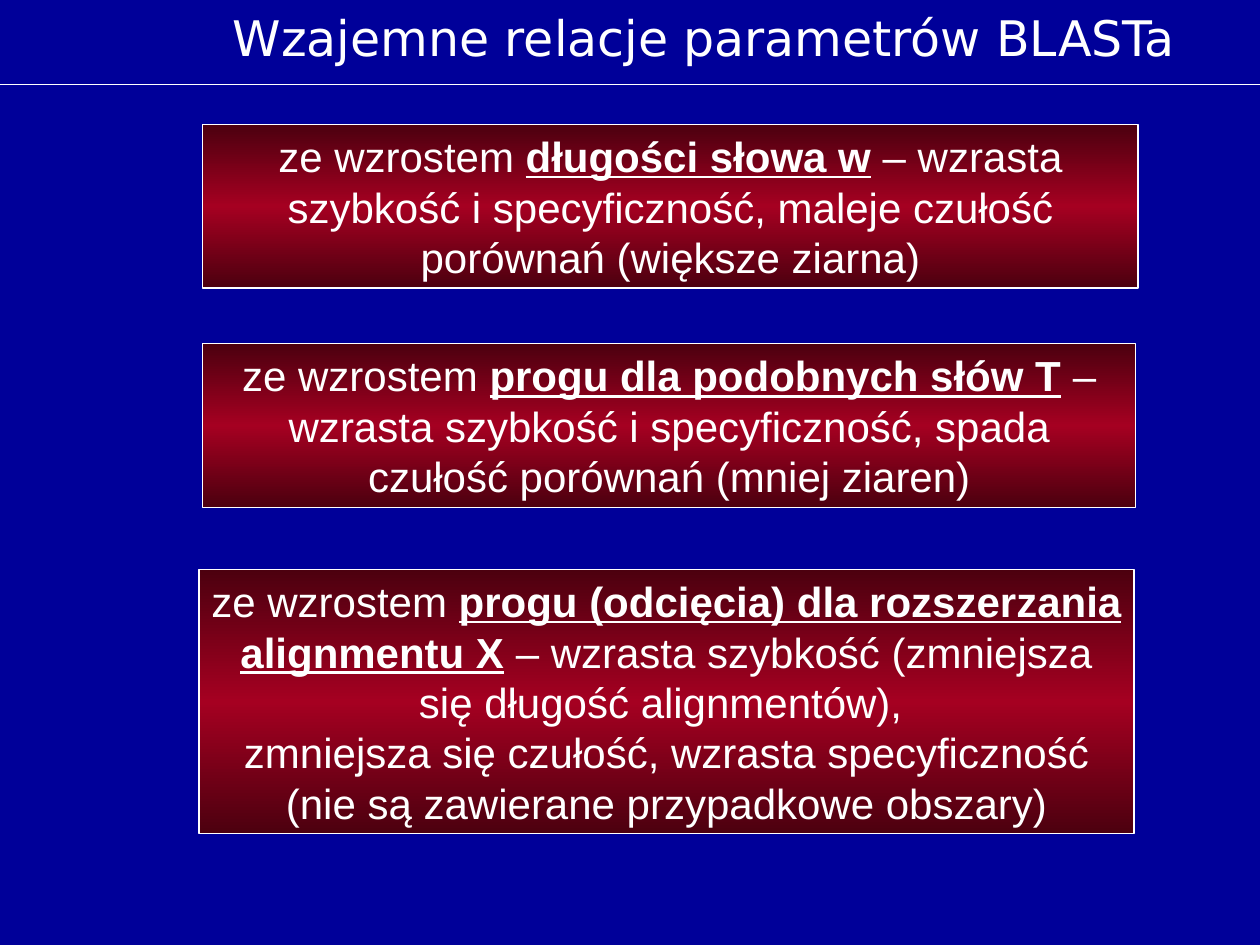
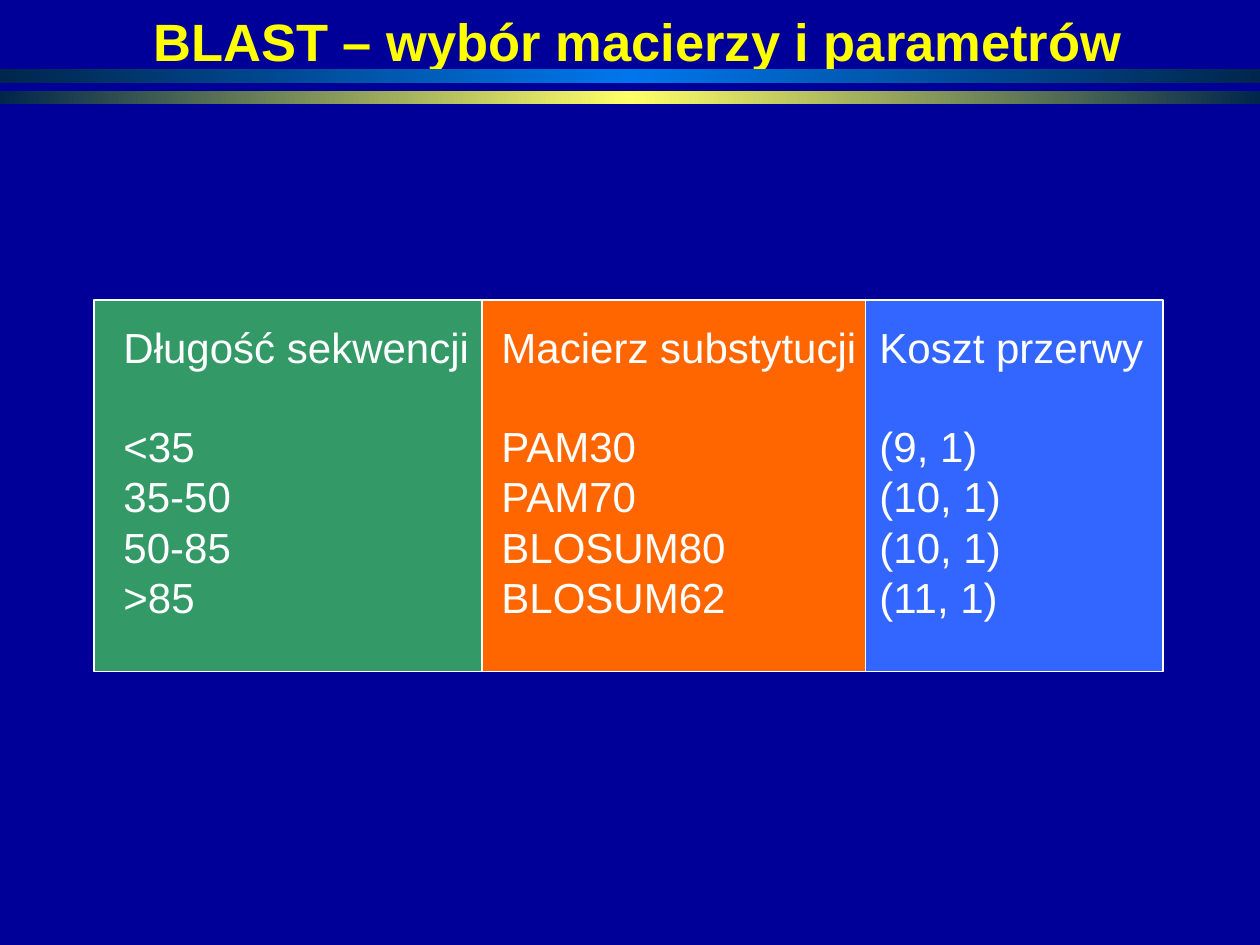
from copy import deepcopy

from lxml.etree import SubElement
from pptx import Presentation
from pptx.dml.color import RGBColor
from pptx.enum.shapes import MSO_CONNECTOR, MSO_SHAPE
from pptx.enum.text import MSO_ANCHOR, PP_ALIGN
from pptx.oxml.ns import qn
from pptx.util import Cm, Pt

COLORS = {
    name: RGBColor.from_string(value)
    for name, value in {
        "background": "000099",
        "white": "FFFFFF",
        "yellow": "FFFF00",
        "dark red": "4C000F",
        "red": "A50021",
        "dark blue": "00264C",
        "bright blue": "0076EC",
        "pale yellow": "FFFF66",
        "green": "339966",
        "orange": "FF6600",
        "blue": "3366FF",
    }.items()
}


def add_rectangle(slide, left, top, width, height, fill, line_width=0):
    """Add a rectangle; a pair of colours (edge, middle) gives a gradient."""
    shape = slide.shapes.add_shape(
        MSO_SHAPE.RECTANGLE, Cm(left), Cm(top), Cm(width), Cm(height))
    shape.shadow.inherit = False
    if isinstance(fill, tuple):
        edge, middle = fill
        shape.fill.gradient()
        shape.fill.gradient_angle = 0 if width > 20 else 90
        stops = shape.element.spPr.find(qn("a:gradFill")).find(qn("a:gsLst"))
        middle_stop = deepcopy(stops[0])
        middle_stop.set("pos", "50000")
        stops.insert(1, middle_stop)
        for stop, color in zip(shape.fill.gradient_stops, (edge, middle, edge)):
            stop.color.rgb = COLORS[color]
    else:
        shape.fill.solid()
        shape.fill.fore_color.rgb = COLORS[fill]
    if line_width:
        shape.line.color.rgb = COLORS["white"]
        shape.line.width = Pt(line_width)
    else:
        shape.line.fill.background()
    return shape


def set_font(paragraph, size, color="white", name="Arial", bold=False):
    font = paragraph.font
    font.name, font.size, font.bold = name, Pt(size), bold
    font.color.rgb = COLORS[color]


presentation = Presentation()
presentation.slide_width = Cm(25.4)
presentation.slide_height = Cm(19.05)

# Backgrounds and titles: text, left, width, height, font settings
titles = [
    ("Wzajemne relacje parametrów BLASTa", 2.97, 22.43, 1.5,
     {"size": 28, "name": "DejaVu Sans"}),
    ("BLAST – wybór macierzy i parametrów", 2.84, 20.04, 1.64,
     {"size": 30, "color": "yellow", "bold": True}),
]
for text, left, width, height, font in titles:
    slide = presentation.slides.add_slide(presentation.slide_layouts[6])
    slide.background.fill.solid()
    slide.background.fill.fore_color.rgb = COLORS["background"]
    frame = slide.shapes.add_textbox(
        Cm(left), 0, Cm(width), Cm(height)).text_frame
    frame.word_wrap = True
    frame.vertical_anchor = MSO_ANCHOR.MIDDLE
    paragraph = frame.paragraphs[0]
    paragraph.text = text
    paragraph.alignment = PP_ALIGN.CENTER
    set_font(paragraph, **font)

relations_slide, matrices_slide = presentation.slides

# Slide 1: line under the title
rule = relations_slide.shapes.add_connector(
    MSO_CONNECTOR.STRAIGHT, 0, Cm(1.7), presentation.slide_width, Cm(1.7))
rule.line.color.rgb = COLORS["white"]
rule.line.width = Pt(0.75)
SubElement(rule.element.spPr, qn("a:effectLst"))

# Slide 1: one box per parameter, left, top, width, height, parameter, effects
relations = [
    (4.09, 2.51, 18.85, 3.3, "długości słowa w",
     [" – wzrasta szybkość i specyficzność, maleje czułość porównań "
      "(większe ziarna)"]),
    (4.09, 6.93, 18.8, 3.3, "progu dla podobnych słów T",
     [" – wzrasta szybkość i specyficzność, spada czułość porównań "
      "(mniej ziaren)"]),
    (4.01, 11.48, 18.85, 5.33, "progu (odcięcia) dla rozszerzania alignmentu X",
     [" – wzrasta szybkość (zmniejsza się długość alignmentów), ",
      "zmniejsza się czułość, wzrasta specyficzność "
      "(nie są zawierane przypadkowe obszary)"]),
]
for left, top, width, height, parameter, effects in relations:
    box = add_rectangle(relations_slide, left, top, width, height,
                        ("dark red", "red"), 0.75)
    frame = box.text_frame
    frame.word_wrap = True
    frame.vertical_anchor = MSO_ANCHOR.TOP
    paragraph = frame.paragraphs[0]
    paragraph.add_run().text = "ze wzrostem "
    parameter_run = paragraph.add_run()
    parameter_run.text = parameter
    parameter_run.font.bold = True
    parameter_run.font.underline = True
    paragraph.add_run().text = effects[0]
    for effect in effects[1:]:
        frame.add_paragraph().text = effect
    for paragraph in frame.paragraphs:
        paragraph.alignment = PP_ALIGN.CENTER
        set_font(paragraph, 24)

# Slide 2: bands under the title
for top, middle in [(1.4, "bright blue"), (1.83, "pale yellow")]:
    add_rectangle(matrices_slide, 0, top, 25.4, 0.27, ("dark blue", middle))

# Slide 2: coloured columns
for left, width, color in [(9.65, 7.82, "orange"), (17.45, 6, "blue"),
                           (1.9, 7.82, "green")]:
    add_rectangle(matrices_slide, left, 6.05, width, 7.49, color, 1)

# Slide 2: rows aligned to the columns with tab stops
rows = [
    ("Długość sekwencji", "Macierz substytucji", "Koszt przerwy"),
    ("<35", "PAM30", "(9, 1)"),
    ("35-50", "PAM70", "(10, 1)"),
    ("50-85", "BLOSUM80", "(10, 1)"),
    (">85", "BLOSUM62", "(11, 1)"),
]
frame = matrices_slide.shapes.add_textbox(
    Cm(2.24), Cm(6.35), Cm(21.2), Cm(6.35)).text_frame
frame.word_wrap = True
for index, row in enumerate(rows):
    paragraph = frame.add_paragraph() if index else frame.paragraphs[0]
    paragraph.text = "\t".join(row)
    if index == 0:
        paragraph.space_after = Pt(28)
    tab_stops = SubElement(paragraph._p.get_or_add_pPr(), qn("a:tabLst"))
    for column in (1, 2):
        SubElement(tab_stops, qn("a:tab"),
                   pos=str(Cm(7.62 * column)), algn="l")
    set_font(paragraph, 24)

presentation.save("out.pptx")
